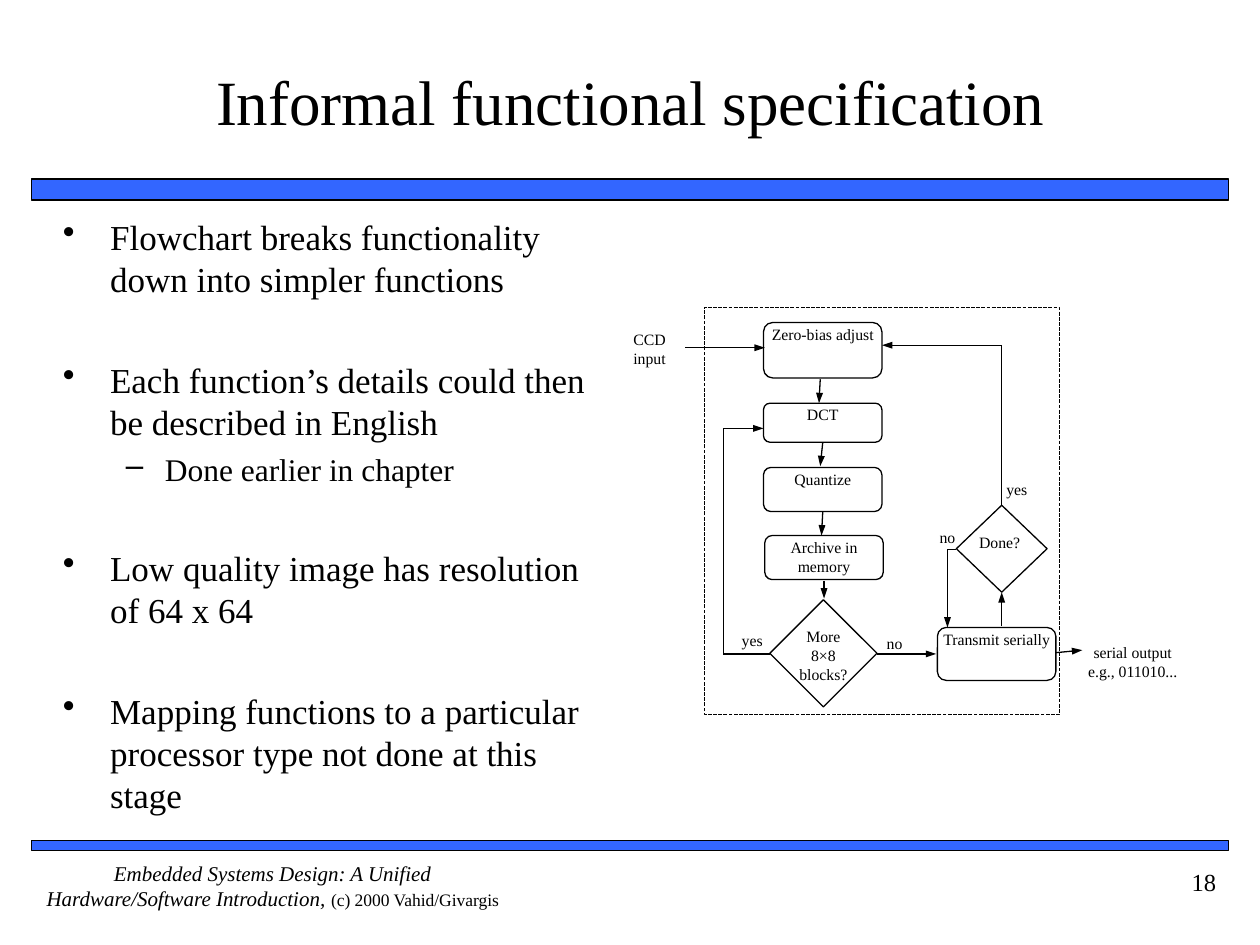
from dataclasses import dataclass
from itertools import pairwise

from lxml.etree import SubElement
from pptx import Presentation
from pptx.dml.color import RGBColor
from pptx.enum.dml import MSO_LINE
from pptx.enum.shapes import MSO_CONNECTOR, MSO_SHAPE
from pptx.enum.text import MSO_ANCHOR, PP_ALIGN
from pptx.oxml.ns import qn
from pptx.util import Inches, Pt


@dataclass(frozen=True)
class Theme:
    font: str = "Times New Roman"
    ink: RGBColor = RGBColor(0, 0, 0)
    paper: RGBColor = RGBColor(255, 255, 255)
    bar: RGBColor = RGBColor(0x33, 0x66, 0xFF)
    title: float = 36
    point: float = 20
    subpoint: float = 18
    page: float = 14
    footer: float = 12
    credit: float = 10
    chart: float = 9
    thin: float = 0.75


THEME = Theme()
COLUMNS, ROWS = 100, 75  # square grid cells, a tenth of an inch each
PADDED, TIGHT, UPRIGHT = (1, 0.5), (0, 0), (0, 0.5)

# Bullet styles: mark, size, left margin and hang in columns
POINT = ("•", THEME.point, 3.75, 3.75)
SUBPOINT = ("–", THEME.subpoint, 8.1, 3.1)
POINTS = [  # style, space before in points, text
    (POINT, 5, "Flowchart breaks functionality down into simpler functions"),
    (POINT, 33.5, "Each function’s details could then be described in English"),
    (SUBPOINT, 4.5, "Done earlier in chapter"),
    (POINT, 33.5, "Low quality image has resolution of 64 x 64"),
    (POINT, 33.5, "Mapping functions to a particular processor type not done at this stage"),
]

# Flowchart: column, row, width, height, text
STEP_WIDTH = 9.4
STEPS = [
    (60.6, 25.6, 4.4, "Zero-bias adjust"),
    (60.6, 32, 3.1, "DCT"),
    (60.6, 37.1, 3.5, "Quantize"),
    (60.7, 42.5, 3.5, "Archive in memory"),
    (74.4, 49.8, 4.2, "Transmit serially"),
]
ANSWERS = [(57.7, 49.6, "yes"), (69, 49.8, "no"), (78.7, 37.6, "yes"), (73.2, 41.4, "no")]
FLOWS = [  # corner points; the last leg carries the arrowhead
    [(54.4, 27.6), (60.7, 27.6)],
    [(65.1, 30.1), (65, 32)],
    [(65.3, 35.1), (65.1, 37)],
    [(65.3, 40.6), (65.2, 42.5)],
    [(65.4, 46.1), (65.4, 47.5)],
    [(61.1, 51.9), (57.4, 51.9), (57.4, 34), (60.6, 34)],
    [(69.6, 51.9), (74.3, 51.9)],
    [(83.8, 51.8), (85.9, 51.6)],
    [(79.5, 49.7), (79.5, 47)],
    [(79.5, 40.1), (79.5, 27.4), (70, 27.4)],
    [(75.9, 43.6), (75.2, 43.6), (75.2, 49.8)],
]


def cells(count):
    return Inches(round(count / 10, 3))


def apply(target, values):
    for name, value in values.items():
        setattr(target, name, value)


def write(paragraph, text, size, italic=False):
    run = paragraph.add_run()
    run.text = text
    apply(run.font, {"name": THEME.font, "size": Pt(size), "italic": italic})
    run.font.color.rgb = THEME.ink


def prepare_frame(frame, inset, anchor=MSO_ANCHOR.TOP):
    across, down = map(cells, inset)
    apply(frame, {"word_wrap": True, "vertical_anchor": anchor,
                  "margin_left": across, "margin_right": across,
                  "margin_top": down, "margin_bottom": down})
    return frame


def fill_lines(frame, text, size, align):
    for index, line in enumerate(text.split("\n")):
        paragraph = frame.add_paragraph() if index else frame.paragraphs[0]
        paragraph.alignment = align
        write(paragraph, line, size)


def add_frame(slide, place, inset=PADDED, anchor=MSO_ANCHOR.TOP):
    return prepare_frame(slide.shapes.add_textbox(*map(cells, place)).text_frame, inset, anchor)


def add_block(slide, kind, place, text="", inset=TIGHT, align=PP_ALIGN.CENTER,
              fill=THEME.paper, border=THEME.thin):
    block = slide.shapes.add_shape(kind, *map(cells, place))
    block.shadow.inherit = False
    block.fill.solid()
    block.fill.fore_color.rgb = fill
    if border:
        block.line.color.rgb = THEME.ink
        block.line.width = Pt(border)
    else:
        block.line.fill.background()
    if text:
        fill_lines(prepare_frame(block.text_frame, inset), text, THEME.chart, align)
    return block


def add_flow(slide, corners):
    for start, end in pairwise(corners):
        leg = slide.shapes.add_connector(MSO_CONNECTOR.STRAIGHT, *map(cells, start + end))
        leg.line.color.rgb = THEME.ink
        leg.line.width = Pt(THEME.thin)
        SubElement(leg._element.spPr, qn("a:effectLst"))
    SubElement(leg.line._get_or_add_ln(), qn("a:tailEnd"), type="triangle", w="sm", len="med")


def add_points(slide):
    frame = add_frame(slide, (4, 16.6, 43.9, 49.1))
    for index, ((mark, size, margin, hang), gap, text) in enumerate(POINTS):
        paragraph = frame.add_paragraph() if index else frame.paragraphs[0]
        paragraph.space_before = Pt(gap)
        properties = paragraph._p.get_or_add_pPr()
        properties.set("marL", str(cells(margin)))
        properties.set("indent", str(-cells(hang)))
        SubElement(properties, qn("a:buChar"), char=mark)
        write(paragraph, text, size)


def add_page_furniture(slide):
    for row, height in ((14.2, 1.7), (66.7, 0.8)):
        add_block(slide, MSO_SHAPE.RECTANGLE, (2.5, row, 95, height), fill=THEME.bar, border=1)

    footer = add_frame(slide, (2.5, 68.3, 38.3, 5), TIGHT).paragraphs[0]
    footer.alignment = PP_ALIGN.CENTER
    write(footer, "Embedded Systems Design: A Unified Hardware/Software Introduction, ",
          THEME.footer, italic=True)
    write(footer, "(c) 2000 Vahid/Givargis", THEME.credit)

    page = add_frame(slide, (87.5, 68.3, 10, 5))
    fill_lines(page, "18", THEME.page, PP_ALIGN.RIGHT)
    page.paragraphs[0].space_before = Pt(8.8)


def add_flowchart(slide):
    # System boundary
    boundary = add_block(slide, MSO_SHAPE.RECTANGLE, (55.9, 24.4, 28.2, 32.3))
    boundary.line.dash_style = MSO_LINE.SQUARE_DOT

    # Input, output and branch labels
    labels = [(48.7, 25.7, 5.7, 3.9, "CCD\ninput"),
              (85.1, 50.5, 9.6, 5, "serial output\ne.g., 011010...")]
    labels += [(column, row, 4, 3, answer) for column, row, answer in ANSWERS]
    for *place, text in labels:
        add_block(slide, MSO_SHAPE.RECTANGLE, place, text, PADDED, border=0)

    # Steps and decisions
    for column, row, height, text in STEPS:
        add_block(slide, MSO_SHAPE.ROUNDED_RECTANGLE, (column, row, STEP_WIDTH, height), text)
    add_block(slide, MSO_SHAPE.DIAMOND, (61.1, 47.6, 8.5, 8.5), "More 8×8 blocks?")
    add_block(slide, MSO_SHAPE.DIAMOND, (75.9, 40.1, 7.2, 6.9), "Done?", UPRIGHT, PP_ALIGN.LEFT)

    # Arrows
    for corners in FLOWS:
        add_flow(slide, corners)


def main():
    deck = Presentation()
    apply(deck, {"slide_width": cells(COLUMNS), "slide_height": cells(ROWS)})
    slide = deck.slides.add_slide(deck.slide_layouts[6])

    add_page_furniture(slide)
    title = add_frame(slide, (4.2, 1.7, 91.7, 12.5), UPRIGHT, MSO_ANCHOR.MIDDLE)
    fill_lines(title, "Informal functional specification", THEME.title, PP_ALIGN.CENTER)
    add_points(slide)
    add_flowchart(slide)
    deck.save("out.pptx")


if __name__ == "__main__":
    main()
